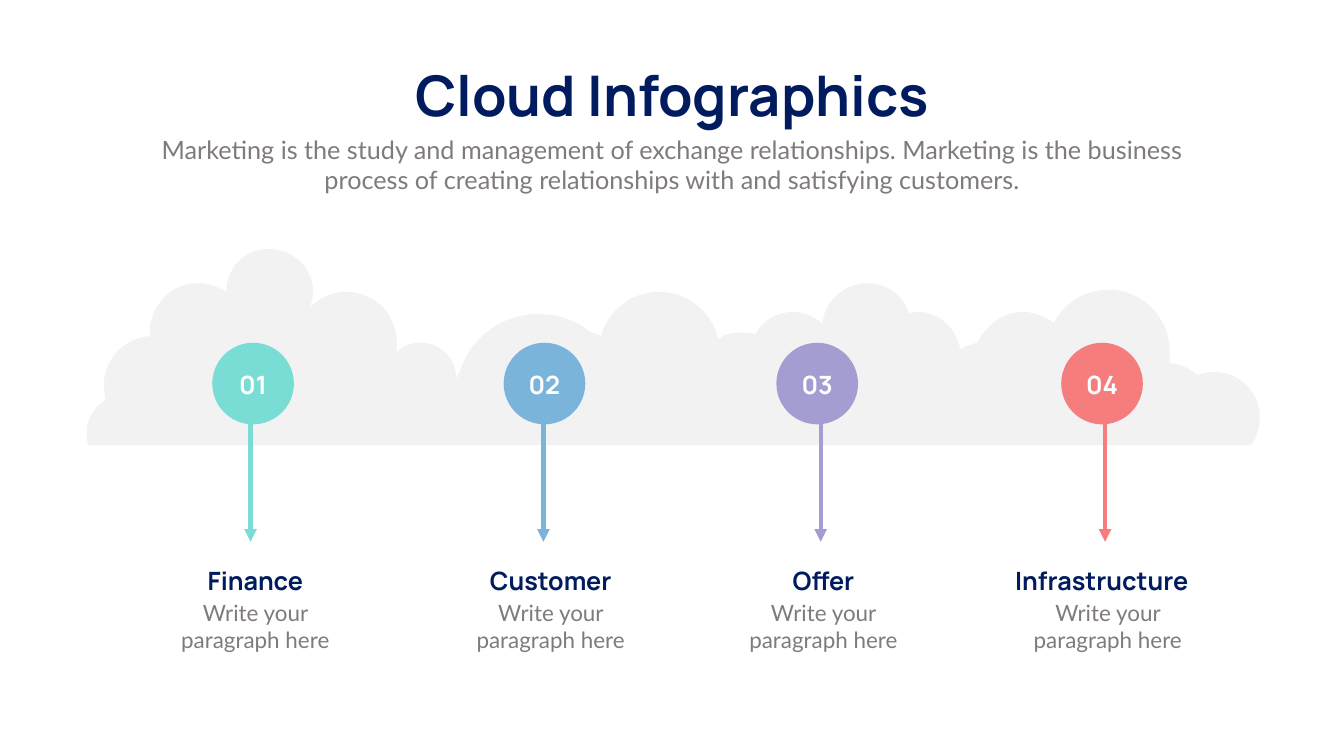
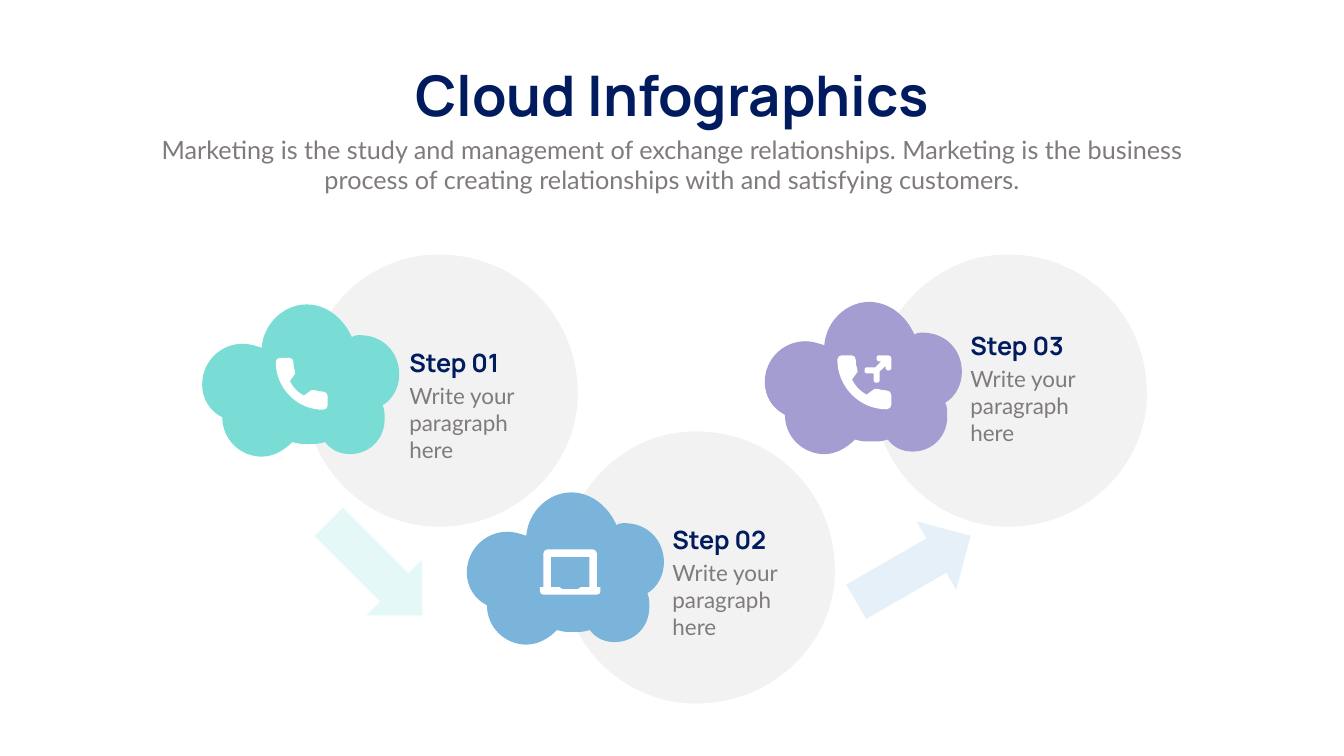
"""Build two cloud infographic slides: a four-topic cloud bank and a three-step flow."""
from dataclasses import dataclass, field
from typing import NamedTuple

from lxml import etree
from pptx import Presentation, util as u
from pptx.dml.color import RGBColor
from pptx.enum import shapes, text
from pptx.oxml import ns

Pt = u.Pt
UNIT = 0.72


def type_style(name: str, size: float, color: str, bold: bool = False) -> dict:
    """Describe a text style as font attributes."""
    return {"name": name, "size": Pt(size), "bold": bold, "color": color}


@dataclass(frozen=True)
class Theme:
    """Colours and type styles shared by the slides."""

    teal: str = "7ADDD5"
    blue: str = "7BB4DA"
    purple: str = "A49DD2"
    coral: str = "F57D7D"
    cloud: str = "F2F2F2"
    white: str = "FFFFFF"
    pale_teal: str = "E4F8F7"
    pale_blue: str = "E5F0F8"
    title: dict = field(default_factory=lambda: type_style("Manrope", 80, "001C5E", True))
    intro: dict = field(default_factory=lambda: type_style("Lato", 36, "7F7A7E"))
    heading: dict = field(default_factory=lambda: type_style("Manrope", 36, "001C5E", True))
    number: dict = field(default_factory=lambda: type_style("Manrope", 36, "FFFFFF", True))
    body: dict = field(default_factory=lambda: type_style("Lato", 32, "7F7A7E"))


T = Theme()


class Box(NamedTuple):
    """A frame in points."""

    x: float
    y: float
    w: float
    h: float


class Topic(NamedTuple):
    """A numbered disc with an arrow down to its caption."""

    name: str
    color: str
    disc_x: float
    arrow_x: float
    text_x: float
    head_x: float
    head_w: float


class Icon(NamedTuple):
    """A white glyph with its place and scale."""

    outline: list
    x: float
    y: float
    scale: float = 1


class Step(NamedTuple):
    """A disc, a cloud with icons, and a caption."""

    color: str
    disc: tuple
    cloud: tuple
    caption: tuple
    head_w: float
    icons: list


CLOUD_BANK = [[
    (2310, 389), (2321, 372, 2327, 355, 2327, 335), (2327, 284, 2287, 244, 2236, 244),
    (2223, 244, 2212, 247, 2202, 250), (2189, 237, 2169, 227, 2148, 227),
    (2148, 217, 2148, 210, 2148, 203), (2148, 135, 2094, 81, 2027, 81),
    (1979, 81, 1939, 108, 1919, 146), (1902, 135, 1881, 125, 1858, 125),
    (1817, 125, 1783, 152, 1767, 186), (1753, 189, 1743, 193, 1733, 200),
    (1726, 159, 1692, 125, 1649, 125), (1642, 125, 1638, 125, 1631, 129),
    (1621, 91, 1588, 68, 1547, 68), (1503, 68, 1463, 105, 1459, 149),
    (1446, 135, 1422, 125, 1402, 125), (1368, 125, 1341, 142, 1327, 169),
    (1317, 166, 1307, 166, 1297, 166), (1280, 166, 1263, 169, 1253, 179),
    (1240, 125, 1192, 85, 1135, 85), (1081, 85, 1034, 122, 1020, 173),
    (1013, 169, 1007, 166, 1000, 166), (973, 142, 936, 129, 895, 129),
    (824, 129, 760, 176, 740, 244), (736, 250, 733, 254, 733, 260), (733, 257),
    (733, 217, 702, 186, 662, 186), (642, 186, 625, 193, 615, 206),
    (615, 200, 615, 193, 615, 186), (615, 129, 571, 85, 513, 85),
    (486, 85, 463, 98, 443, 115), (446, 105, 449, 95, 449, 85),
    (449, 37, 409, 0, 361, 0), (314, 0, 277, 37, 277, 85),
    (260, 75, 243, 68, 219, 68), (169, 68, 125, 112, 125, 166),
    (125, 166, 125, 169, 125, 173), (74, 176, 34, 220, 34, 271),
    (34, 281, 37, 291, 37, 301), (17, 311, 0, 335, 0, 362), (0, 372, 0, 379, 3, 389),
]]
DISC = [[
    (541, 276), (541, 419, 419, 540, 265, 540), (121, 540, 0, 419, 0, 276),
    (0, 121, 121, 0, 265, 0), (419, 0, 541, 121, 541, 276),
]]
STEP_CLOUD = [[
    (391, 139), (391, 94, 358, 61, 313, 61), (309, 61, 301, 61, 297, 65),
    (281, 29, 248, 0, 207, 0), (163, 0, 122, 37, 118, 86), (106, 82, 93, 78, 81, 78),
    (36, 78, 0, 114, 0, 159), (0, 188, 16, 212, 40, 224), (40, 269, 77, 302, 118, 302),
    (142, 302, 163, 289, 179, 273), (191, 277, 199, 277, 211, 277),
    (224, 277, 232, 277, 244, 273), (256, 289, 273, 297, 293, 297),
    (334, 297, 362, 265, 362, 228), (362, 216, 362, 208, 358, 200),
    (379, 188, 391, 163, 391, 139),
]]
PHONE = [[
    (94, 67), (88, 67, 82, 66, 76, 64), (73, 63, 70, 64, 68, 66), (56, 75),
    (43, 68, 35, 60, 28, 46), (36, 35), (39, 33, 39, 30, 38, 27), (36, 21, 35, 15, 35, 8),
    (35, 4, 32, 0, 27, 0), (8, 0), (4, 0, 0, 4, 0, 8), (0, 60, 42, 103, 94, 103),
    (99, 103, 103, 99, 103, 94), (103, 76), (103, 71, 99, 67, 94, 67),
]]
FORWARD = [[
    (47, 0), (27, 0), (25, 0, 24, 1, 24, 3), (24, 9), (24, 11, 25, 12, 27, 12), (33, 12),
    (21, 24), (3, 24), (1, 24, 0, 25, 0, 27), (0, 33), (0, 35, 1, 36, 3, 36), (18, 36),
    (18, 51), (18, 53, 19, 54, 21, 54), (27, 54), (28, 54, 30, 53, 30, 51), (30, 32),
    (42, 21), (42, 27), (42, 29, 43, 30, 45, 30), (50, 30), (52, 30, 53, 29, 53, 27),
    (53, 6), (53, 3, 51, 0, 47, 0),
]]
LAPTOP = [
    [(113, 75), (113, 8), (113, 4, 109, 0, 105, 0), (15, 0), (11, 0, 7, 4, 7, 8), (7, 75),
     (0, 75), (0, 83), (0, 87, 3, 90, 7, 90), (113, 90), (117, 90, 120, 87, 120, 83),
     (120, 75)],
    [(98, 75), (81, 75), (75, 79), (45, 79), (39, 75), (22, 75), (22, 15), (98, 15)],
]

TITLE = "Cloud Infographics"
INTRO = ("Marketing is the study and management of exchange relationships. Marketing is the "
         "business process of creating relationships with and satisfying customers.")
CAPTION = "Write your paragraph here"
CENTER, LEFT = text.PP_ALIGN.CENTER, text.PP_ALIGN.LEFT

TOPICS = [
    Topic("Finance", T.teal, 303.12, 357.84, 237.6, 237.6, 254.16),
    Topic("Customer", T.blue, 719.28, 776.16, 659.52, 659.52, 254.16),
    Topic("Offer", T.purple, 1108.8, 1172.16, 1049.04, 1049.04, 254.16),
    Topic("Infrastructure", T.coral, 1515.6, 1578.24, 1455.12, 1431.36, 284.4),
]
STEPS = [
    Step(T.teal, (435.6, 363.6), (288.72, 434.88), (577.44, 492.48), 232.56,
         [Icon(PHONE, 393.84, 511.2)]),
    Step(T.blue, (802.8, 616.32), (666.72, 703.44), (953.28, 745.92), 226.08,
         [Icon(LAPTOP, 771.12, 784.8)]),
    Step(T.purple, (1248.48, 363.6), (1092.24, 431.28), (1378.8, 468.72), 274.32,
         [Icon(FORWARD, 1234.8, 507.6), Icon(PHONE, 1195.92, 507.6, 1.04)]),
]
FLOW_ARROWS = [(441.36, 45, T.pale_teal), (1209.6, 330, T.pale_blue)]


def rgb(color: str) -> RGBColor:
    """Turn a hex string into a colour."""
    return RGBColor.from_string(color)


def paint(sp, color: str) -> None:
    """Give a shape a flat fill with no outline or shadow."""
    sp.shadow.inherit = False
    sp.fill.solid()
    sp.fill.fore_color.rgb = rgb(color)
    sp.line.fill.background()


def write(sp, words: str, style: dict, align, wrap: bool = True) -> None:
    """Put one styled paragraph in a shape."""
    tf = sp.text_frame
    frame = {"word_wrap": wrap, "auto_size": text.MSO_AUTO_SIZE.SHAPE_TO_FIT_TEXT,
             "vertical_anchor": text.MSO_ANCHOR.TOP}
    for key, value in frame.items():
        setattr(tf, key, value)
    p = tf.paragraphs[0]
    for key, value in {"alignment": align, "space_before": Pt(0), "line_spacing": 1.0}.items():
        setattr(p, key, value)
    r = p.add_run()
    r.text = words
    for key, value in style.items():
        if key == "color":
            r.font.color.rgb = rgb(value)
        else:
            setattr(r.font, key, value)


def add_text(s, box: Box, words: str, style: dict, align) -> None:
    """Add a wrapped text box."""
    write(s.shapes.add_textbox(*map(Pt, box)), words, style, align)


def bend(sp, outline: list) -> None:
    """Turn the straight segments that have control points into cubic curves."""
    segments = [seg for contour in outline for seg in contour[1:]]
    for line, seg in zip(list(sp._element.iter(ns.qn("a:lnTo"))), segments):
        if len(seg) == 6:
            curve = etree.Element(ns.qn("a:cubicBezTo"))
            for x, y in zip(seg[::2], seg[1::2]):
                etree.SubElement(curve, ns.qn("a:pt"), x=str(x), y=str(y))
            line.getparent().replace(line, curve)


def add_outline(s, outline: list, x: float, y: float, color: str, scale: float = 1) -> None:
    """Draw a filled outline with its corner at x, y."""
    first, *holes = [[seg[-2:] for seg in contour] for contour in outline]
    builder = s.shapes.build_freeform(*first[0], scale=Pt(UNIT * scale))
    builder.add_line_segments(first[1:], close=True)
    for hole in holes:
        builder.move_to(*hole[0])
        builder.add_line_segments(hole[1:], close=True)
    sp = builder.convert_to_shape(Pt(x), Pt(y))
    bend(sp, outline)
    paint(sp, color)


def add_arrow(s, x: float, top: float, bottom: float, color: str) -> None:
    """Draw a vertical line with an arrowhead at the bottom."""
    line = s.shapes.add_connector(shapes.MSO_CONNECTOR.STRAIGHT, *map(Pt, (x, top, x, bottom)))
    line.line.color.rgb = rgb(color)
    line.line.width = Pt(6)
    sp_pr = line._element.spPr
    etree.SubElement(sp_pr.find(ns.qn("a:ln")), ns.qn("a:tailEnd"), type="triangle")
    etree.SubElement(sp_pr, ns.qn("a:effectLst"))


def add_slide(prs):
    """Add a slide with the shared title and introduction."""
    s = prs.slides.add_slide(prs.slide_layouts[0])
    heads = [(TITLE, T.title, Box(555.84, 82.8, 808.56, 104.4), False),
             (INTRO, T.intro, Box(210.24, 187.92, 1499.04, 94.32), True)]
    for sp, (words, style, box, wrap) in zip(s.placeholders, heads):
        for key, value in zip(("left", "top", "width", "height"), box):
            setattr(sp, key, Pt(value))
        write(sp, words, style, CENTER, wrap)
    return s


def add_topic(s, number: int, topic: Topic) -> None:
    """Draw one topic of the cloud bank."""
    disc = Box(topic.disc_x, 489.6, 116.64, 116.64)
    paint(s.shapes.add_shape(shapes.MSO_SHAPE.OVAL, *map(Pt, disc)), topic.color)
    add_text(s, Box(disc.x - 17.28, 524.16, 151.2, 51.12), f"{number:02}", T.number, CENTER)
    add_arrow(s, topic.arrow_x, disc.y + disc.h, 774, topic.color)
    add_text(s, Box(topic.head_x, 804.24, topic.head_w, 51.12), topic.name, T.heading, CENTER)
    add_text(s, Box(topic.text_x, 852.48, 254.16, 84.96), CAPTION, T.body, CENTER)


def add_step(s, number: int, step: Step) -> None:
    """Draw one step of the flow."""
    x, y = step.caption
    add_outline(s, DISC, *step.disc, T.cloud)
    add_text(s, Box(x, y + 49.68, 192.24, 118.08), CAPTION, T.body, LEFT)
    add_text(s, Box(x, y, step.head_w, 51.12), f"Step {number:02}", T.heading, LEFT)
    add_outline(s, STEP_CLOUD, *step.cloud, step.color)
    for icon in step.icons:
        add_outline(s, icon.outline, icon.x, icon.y, T.white, icon.scale)


def main() -> None:
    """Build and save the presentation."""
    prs = Presentation()
    prs.slide_width, prs.slide_height = Pt(1919.52), Pt(1080)

    s = add_slide(prs)
    add_outline(s, CLOUD_BANK, 123.84, 355.68, T.cloud)
    for number, topic in enumerate(TOPICS, 1):
        add_topic(s, number, topic)

    s = add_slide(prs)
    for number, step in enumerate(STEPS, 1):
        add_step(s, number, step)
    for x, angle, color in FLOW_ARROWS:
        box = Box(x, 754.56, 190.08, 115.92)
        sp = s.shapes.add_shape(shapes.MSO_SHAPE.RIGHT_ARROW, *map(Pt, box))
        paint(sp, color)
        sp.rotation = angle
        sp.line.color.rgb = rgb(T.white)
        sp.line.width = Pt(1)
    prs.save("out.pptx")


if __name__ == "__main__":
    main()
